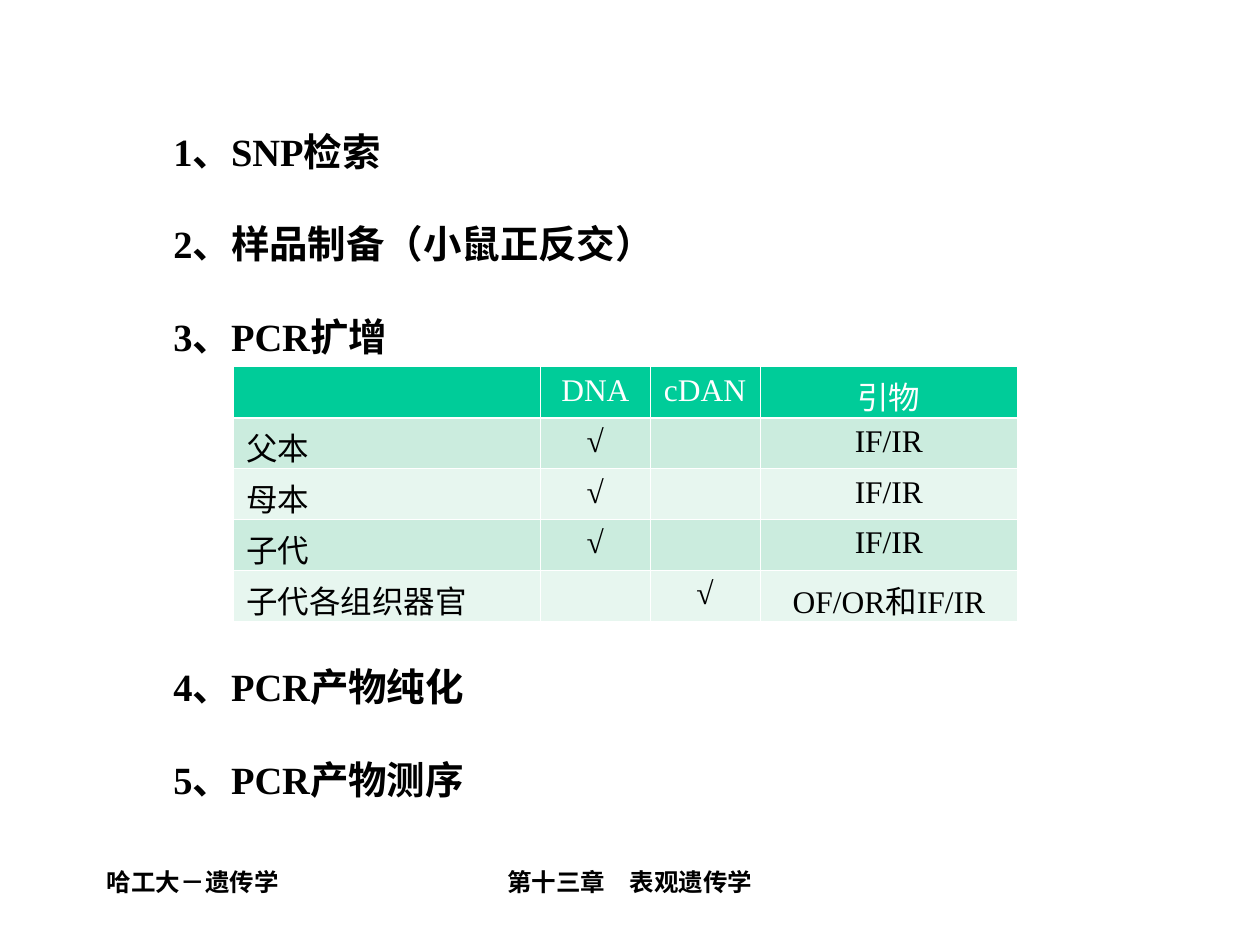
from dataclasses import dataclass

from lxml import etree
from pptx import Presentation
from pptx.dml.color import RGBColor
from pptx.enum import text
from pptx.oxml import ns
from pptx.util import Pt


@dataclass(frozen=True)
class Theme:
    font: str = "Times New Roman"
    ink: str = "000000"
    white: str = "FFFFFF"
    header: str = "00CC99"
    bands: tuple = ("CBECDE", "E7F6EF")
    step_size: float = 22
    table_size: float = 18
    footer_size: float = 14
    rule: float = 0.45
    header_rule: float = 1.47


THEME = Theme()
LEFT, CENTER = text.PP_ALIGN.LEFT, text.PP_ALIGN.CENTER

COLUMNS = (175.5, 62.7, 62.7, 147.4)
ROW_HEIGHT = 29.1
ROWS = (
    ("", "DNA", "cDAN", "引物"),
    ("父本", "√", "", "IF/IR"),
    ("母本", "√", "", "IF/IR"),
    ("子代", "√", "", "IF/IR"),
    ("子代各组织器官", "", "√", "OF/OR和IF/IR"),
)


def add_run(p, words, size, color, bold=False):
    r = p.add_run()
    r.text = words
    r.font.name = THEME.font
    r.font.size = Pt(size)
    r.font.bold = bold
    r.font.color.rgb = RGBColor.from_string(color)


def add_text(s, box, lines, size, align=LEFT, spacing=1.0):
    tf = s.shapes.add_textbox(*map(Pt, box)).text_frame
    tf.word_wrap = True
    for i, line in enumerate(lines):
        p = tf.paragraphs[0] if i == 0 else tf.add_paragraph()
        p.alignment = align
        p.line_spacing = spacing
        add_run(p, line, size, THEME.ink, bold=True)


def add_borders(cell, top, bottom):
    tc_pr = cell._tc.get_or_add_tcPr()
    widths = {"lnL": THEME.rule, "lnR": THEME.rule, "lnT": top, "lnB": bottom}
    for i, (side, width) in enumerate(widths.items()):
        ln = etree.Element(ns.qn(f"a:{side}"), w=str(Pt(width)))
        fill = etree.SubElement(ln, ns.qn("a:solidFill"))
        etree.SubElement(fill, ns.qn("a:srgbClr"), val=THEME.white)
        tc_pr.insert(i, ln)


def format_cell(cell, words, row, col):
    fill = THEME.header if row == 0 else THEME.bands[(row - 1) % 2]
    cell.fill.solid()
    cell.fill.fore_color.rgb = RGBColor.from_string(fill)
    add_borders(
        cell,
        top=THEME.header_rule if row == 1 else THEME.rule,
        bottom=THEME.header_rule if row == 0 else THEME.rule,
    )
    if words:
        p = cell.text_frame.paragraphs[0]
        p.alignment = LEFT if col == 0 else CENTER
        add_run(p, words, THEME.table_size, THEME.ink if row else THEME.white)


def add_sample_table(s, left, top):
    size = Pt(sum(COLUMNS)), Pt(ROW_HEIGHT * len(ROWS))
    table = s.shapes.add_table(
        len(ROWS), len(COLUMNS), Pt(left), Pt(top), *size
    ).table
    for column, width in zip(table.columns, COLUMNS):
        column.width = Pt(width)
    for i, row in enumerate(ROWS):
        table.rows[i].height = Pt(ROW_HEIGHT)
        for j, words in enumerate(row):
            format_cell(table.cell(i, j), words, i, j)


def main():
    prs = Presentation()
    prs.slide_width, prs.slide_height = Pt(720), Pt(540)
    s = prs.slides.add_slide(prs.slide_layouts[6])
    add_text(s, (54, 492, 150, 36), ["哈工大－遗传学"], THEME.footer_size)
    add_text(s, (246, 492, 228, 36), ["第十三章　表观遗传学"],
             THEME.footer_size, CENTER)
    add_text(s, (92, 43.2, 533, 165.6),
             ["1、SNP检索", "2、样品制备（小鼠正反交）", "3、PCR扩增"],
             THEME.step_size, spacing=2.0)
    add_sample_table(s, 133.4, 209.6)
    add_text(s, (92, 349.2, 533, 113),
             ["4、PCR产物纯化", "5、PCR产物测序"],
             THEME.step_size, spacing=2.0)
    prs.save("out.pptx")


if __name__ == "__main__":
    main()
